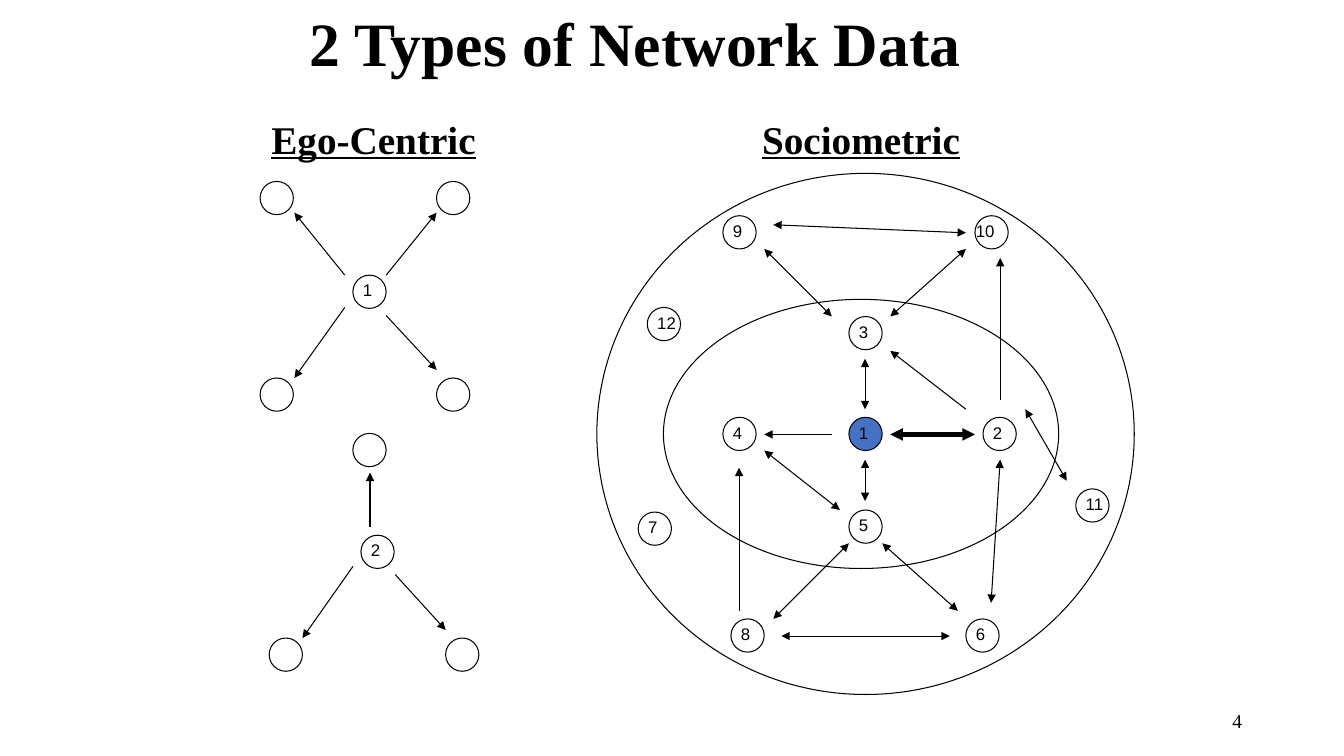
import pptx
import pptx.dml.color
import pptx.enum.shapes
import pptx.enum.text
import pptx.oxml.ns
import pptx.util
from pptx.util import Inches

BLACK = "000000"
BLUE = "4472C4"
NODE_SIZE = 0.33
SERIF = "Times New Roman"
ALIGN = pptx.enum.text.PP_ALIGN

# Node number (None when unlabelled), left, top
EGO_NODES = [
    (None, 4.33, 3.75), (None, 2.58, 3.75), (None, 2.58, 1.8),
    (None, 4.33, 1.8), (1, 3.5, 2.73),
    (None, 4.42, 6.33), (None, 2.67, 6.33), (None, 3.5, 4.3),
    (2, 3.58, 5.31),
]
SOCIOMETRIC_NODES = [
    (1, 8.42, 4.14), (2, 9.75, 4.14), (3, 8.42, 3.14), (4, 7.17, 4.14),
    (5, 8.42, 5.06), (6, 9.58, 6.14), (7, 6.33, 5.08), (8, 7.25, 6.14),
    (9, 7.17, 2.14), (10, 9.67, 2.14), (11, 10.67, 4.85), (12, 6.42, 3.05),
]
BOUNDARIES = [(6.58, 2.97, 3.92, 2.67), (5.92, 1.72, 5.33, 5.17)]

# Start x, start y, end x, end y
EGO_TIES = [
    (3.42, 2.73, 2.92, 2.11), (3.83, 2.73, 4.33, 2.11),
    (3.83, 3.13, 4.33, 3.67), (3.42, 3.05, 2.92, 3.75),
    (3.67, 5.23, 3.67, 4.69), (3.92, 5.7, 4.42, 6.25),
    (3.5, 5.62, 3, 6.33),
]
ONE_WAY_TIES = [
    (9.58, 4.06, 8.83, 3.48), (7.33, 6.06, 7.33, 4.64),
    (8.25, 4.31, 7.58, 4.31), (9.92, 3.97, 9.92, 2.56),
]
MUTUAL_TIES = [
    (8.58, 4.06, 8.58, 3.56), (8.33, 5.06, 7.58, 4.47),
    (8.25, 3.14, 7.58, 2.47), (8.83, 3.14, 9.58, 2.47),
    (8.58, 4.56, 8.58, 4.97), (9.83, 5.98, 9.92, 4.56),
    (9.5, 6.06, 8.75, 5.39), (10.17, 4.06, 10.58, 4.77),
    (8.42, 5.39, 7.67, 6.14), (9.42, 6.31, 7.75, 6.31),
    (9.58, 2.31, 7.67, 2.23),
]
STRONG_TIE = (8.83, 4.31, 9.67, 4.31)


def color(hex_string):
    """Turn a hex string into a colour."""
    return pptx.dml.color.RGBColor.from_string(hex_string)


def add_text(slide, text, box, size, font=SERIF, align=ALIGN.LEFT,
             bold=False, underline=False):
    """Add one unwrapped line of text and return its frame."""
    frame = slide.shapes.add_textbox(*map(Inches, box)).text_frame
    frame.word_wrap = False
    frame.auto_size = pptx.enum.text.MSO_AUTO_SIZE.SHAPE_TO_FIT_TEXT
    paragraph = frame.paragraphs[0]
    paragraph.alignment = align
    run = paragraph.add_run()
    run.text = text
    run.font.name = font
    run.font.size = pptx.util.Pt(size)
    run.font.bold = bold
    run.font.underline = underline
    run.font.color.rgb = color(BLACK)
    return frame


def add_heading(slide, text, box, size, underline=True):
    """Add a centred bold heading."""
    frame = add_text(slide, text, box, size, align=ALIGN.CENTER,
                     bold=True, underline=underline)
    frame.margin_left = frame.margin_right = Inches(0.11)


def add_page_number(slide, text):
    """Add the right-aligned page number."""
    frame = add_text(slide, text, (9.42, 6.95, 3, 0.4), 14, align=ALIGN.RIGHT)
    frame.auto_size = pptx.enum.text.MSO_AUTO_SIZE.NONE
    frame.word_wrap = True
    frame.vertical_anchor = pptx.enum.text.MSO_ANCHOR.MIDDLE


def add_ellipse(slide, box, fill=None):
    """Add a thin black ellipse, hollow unless a fill is given."""
    shape = slide.shapes.add_shape(
        pptx.enum.shapes.MSO_SHAPE.OVAL, *map(Inches, box))
    shape.shadow.inherit = False
    shape.line.color.rgb = color(BLACK)
    shape.line.width = pptx.util.Pt(0.75)
    if fill:
        shape.fill.solid()
        shape.fill.fore_color.rgb = color(fill)
    else:
        shape.fill.background()


def add_node(slide, number, left, top, fill=None):
    """Add a network node with its number, if it has one."""
    add_ellipse(slide, (left, top, NODE_SIZE, NODE_SIZE), fill)
    if number is None:
        return
    label_left = left - 0.09 if number == 10 else left
    label_width = 0.29 if number < 10 else 0.39
    add_text(slide, str(number), (label_left, top, label_width, 0.3), 12, "Arial")


def add_tie(slide, ends, mutual=False, width=0.75):
    """Add an arrow, pointing both ways when the tie is mutual."""
    connector = slide.shapes.add_connector(
        pptx.enum.shapes.MSO_CONNECTOR.STRAIGHT, *map(Inches, ends))
    connector.line.color.rgb = color(BLACK)
    connector.line.width = pptx.util.Pt(width)
    line = connector.line._get_or_add_ln()
    for tag in ["a:headEnd", "a:tailEnd"] if mutual else ["a:tailEnd"]:
        arrowhead = pptx.oxml.xmlchemy.OxmlElement(tag)
        arrowhead.set("type", "triangle")
        line.append(arrowhead)
    connector._element.spPr.append(pptx.oxml.xmlchemy.OxmlElement("a:effectLst"))


def main():
    """Build the slide and save it."""
    presentation = pptx.Presentation()
    presentation.slide_width = Inches(13.33)
    presentation.slide_height = Inches(7.5)
    slide = presentation.slides.add_slide(presentation.slide_layouts[6])

    add_heading(slide, "2 Types of Network Data", (2.93, 0, 6.74, 0.85), 44,
                underline=False)
    add_heading(slide, "Ego-Centric", (2.57, 1.09, 2.27, 0.58), 28)
    add_heading(slide, "Sociometric", (7.44, 1.09, 2.2, 0.58), 28)

    for box in BOUNDARIES:
        add_ellipse(slide, box)
    for number, left, top in EGO_NODES:
        add_node(slide, number, left, top)
    for number, left, top in SOCIOMETRIC_NODES:
        add_node(slide, number, left, top, BLUE if number == 1 else None)

    for ends in EGO_TIES + ONE_WAY_TIES:
        add_tie(slide, ends)
    for ends in MUTUAL_TIES:
        add_tie(slide, ends, mutual=True)
    add_tie(slide, STRONG_TIE, mutual=True, width=3)

    add_page_number(slide, "4")
    presentation.save("out.pptx")


main()
